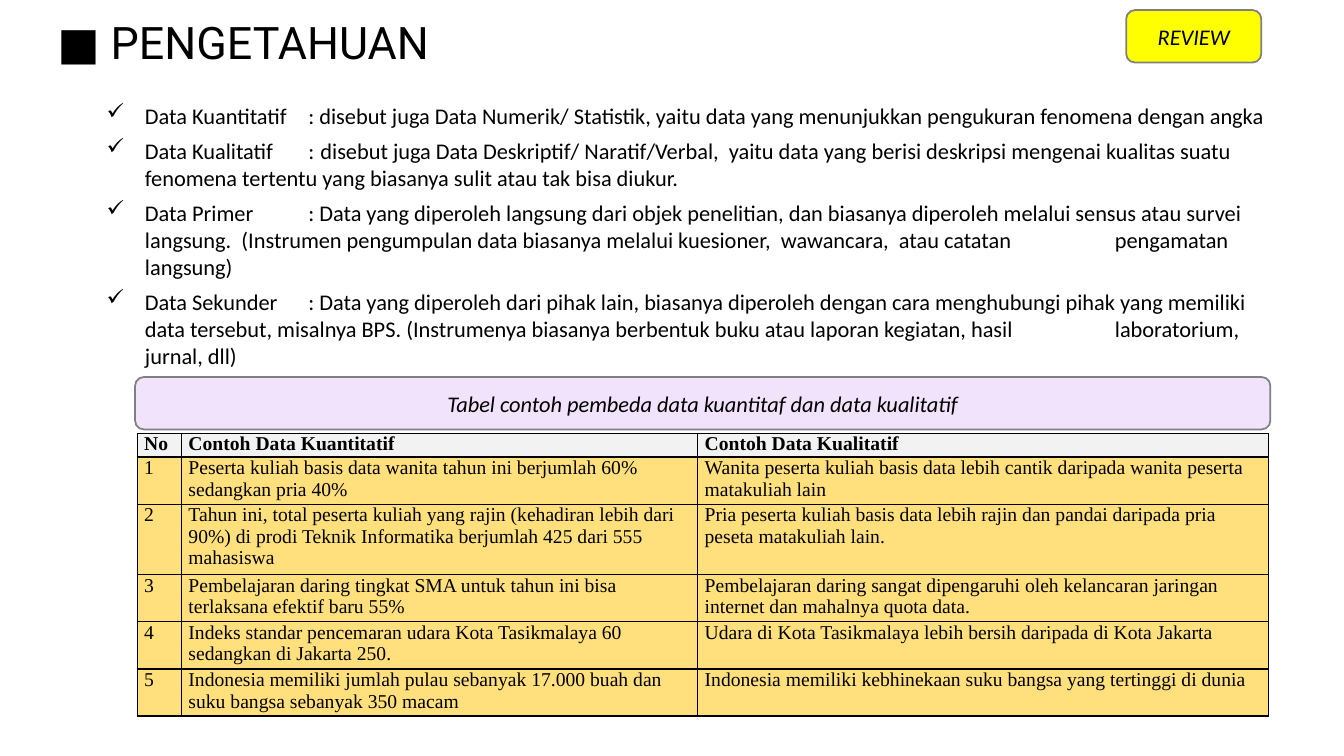
from dataclasses import dataclass

import pptx
import pptx.dml.color
import pptx.enum.shapes
import pptx.enum.text
import pptx.oxml
import pptx.oxml.ns
import pptx.util
from pptx.util import Inches

RGBColor = pptx.dml.color.RGBColor
ALIGN = pptx.enum.text.PP_ALIGN
ANCHOR = pptx.enum.text.MSO_ANCHOR

BLACK = RGBColor(0x00, 0x00, 0x00)
GRAY = RGBColor(0x80, 0x80, 0x80)
YELLOW = RGBColor(0xFF, 0xFF, 0x00)
LILAC = RGBColor(0xF2, 0xE3, 0xFC)
HEADER_FILL = RGBColor(0xF2, 0xF2, 0xF2)
BODY_FILL = RGBColor(0xFF, 0xE0, 0x7D)

NAMESPACE = pptx.oxml.ns.nsdecls("a")
TAB_STOPS = (2, 2.12, 10)
COLUMN_WIDTHS = (0.44, 5.12, 5.66)
LINE_HEIGHT = 0.23


@dataclass
class Banner:
    text: str
    left: float
    top: float
    width: float
    fill: RGBColor


@dataclass
class Example:
    quantitative: str
    qualitative: str
    lines: int = 2


BANNERS = [
    Banner("REVIEW", 11.17, 0.1, 1.34, YELLOW),
    Banner("Tabel contoh pembeda data kuantitaf dan data kualitatif", 1.34, 3.74, 11.26, LILAC),
]

DEFINITIONS = [
    "Data Kuantitatif\t: disebut juga Data Numerik/ Statistik, yaitu data yang menunjukkan "
    "pengukuran fenomena dengan angka",
    "Data Kualitatif\t: \tdisebut juga Data Deskriptif/ Naratif/Verbal,  yaitu data yang berisi "
    "deskripsi mengenai kualitas suatu fenomena tertentu yang biasanya sulit atau tak bisa diukur.",
    "Data Primer\t: Data yang diperoleh langsung dari objek penelitian, dan biasanya diperoleh "
    "melalui sensus atau survei langsung.  (Instrumen pengumpulan data biasanya melalui "
    "kuesioner,  wawancara,  atau catatan \tpengamatan langsung)",
    "Data Sekunder\t: Data yang diperoleh dari pihak lain, biasanya diperoleh dengan cara "
    "menghubungi pihak yang memiliki data tersebut, misalnya BPS. (Instrumenya biasanya "
    "berbentuk buku atau laporan kegiatan, hasil \tlaboratorium, jurnal, dll)",
]

HEADERS = ("No", "Contoh Data Kuantitatif", "Contoh Data Kualitatif")
EXAMPLES = [
    Example("Peserta kuliah basis data wanita tahun ini berjumlah 60% sedangkan pria 40%",
            "Wanita peserta kuliah basis data lebih cantik daripada wanita peserta matakuliah lain"),
    Example("Tahun ini, total peserta kuliah yang rajin (kehadiran lebih dari 90%) di prodi "
            "Teknik Informatika berjumlah 425 dari 555 mahasiswa",
            "Pria peserta kuliah basis data lebih rajin dan pandai daripada pria peseta "
            "matakuliah lain.", lines=3),
    Example("Pembelajaran daring tingkat SMA untuk tahun ini bisa terlaksana efektif baru 55%",
            "Pembelajaran daring sangat dipengaruhi oleh kelancaran jaringan internet dan "
            "mahalnya quota data."),
    Example("Indeks standar pencemaran udara Kota Tasikmalaya 60 sedangkan di Jakarta 250.",
            "Udara di Kota Tasikmalaya lebih bersih daripada di Kota Jakarta"),
    Example("Indonesia memiliki jumlah pulau sebanyak 17.000 buah dan suku bangsa sebanyak 350 macam",
            "Indonesia memiliki kebhinekaan suku bangsa yang tertinggi di dunia"),
]


def write_text(paragraph, text: str, *, size: int = 16, font: str = "Calibri",
               bold: bool = False, italic: bool = False, align=ALIGN.LEFT) -> None:
    paragraph.alignment = align
    run = paragraph.add_run()
    run.text = text
    run.font.size = pptx.util.Pt(size)
    run.font.name = font
    run.font.bold = bold
    run.font.italic = italic
    run.font.color.rgb = BLACK


def add_title(slide) -> None:
    box = slide.shapes.add_textbox(Inches(0.47), Inches(0.15), Inches(12.3), Inches(0.54))
    frame = box.text_frame
    frame.word_wrap = True
    frame.vertical_anchor = ANCHOR.BOTTOM
    frame.margin_bottom = 0
    frame.paragraphs[0].line_spacing = 0.9
    write_text(frame.paragraphs[0], "■ PENGETAHUAN", size=32, font="Roboto")


def add_banner(slide, banner: Banner) -> None:
    shape = slide.shapes.add_shape(
        pptx.enum.shapes.MSO_SHAPE.ROUNDED_RECTANGLE,
        Inches(banner.left), Inches(banner.top), Inches(banner.width), Inches(0.52))
    shape.shadow.inherit = False
    shape.fill.solid()
    shape.fill.fore_color.rgb = banner.fill
    shape.line.color.rgb = GRAY
    shape.line.width = pptx.util.Pt(1.25)
    shape.text_frame.word_wrap = True
    shape.text_frame.vertical_anchor = ANCHOR.MIDDLE
    write_text(shape.text_frame.paragraphs[0], banner.text, italic=True, align=ALIGN.CENTER)


def add_check_bullet(paragraph) -> None:
    properties = paragraph._p.get_or_add_pPr()
    properties.set("marL", str(Inches(0.38)))
    properties.set("indent", str(Inches(-0.38)))
    stops = "".join(f'<a:tab pos="{Inches(stop)}" algn="l"/>' for stop in TAB_STOPS)
    for xml in (f'<a:buChar {NAMESPACE} char="✓"/>', f"<a:tabLst {NAMESPACE}>{stops}</a:tabLst>"):
        properties.append(pptx.oxml.parse_xml(xml))


def add_definitions(slide) -> None:
    box = slide.shapes.add_textbox(Inches(0.96), Inches(0.96), Inches(11.76), Inches(2.78))
    frame = box.text_frame
    frame.word_wrap = True
    frame.auto_size = pptx.enum.text.MSO_AUTO_SIZE.SHAPE_TO_FIT_TEXT
    for index, definition in enumerate(DEFINITIONS):
        paragraph = frame.add_paragraph() if index else frame.paragraphs[0]
        paragraph.space_before = paragraph.space_after = pptx.util.Pt(3)
        add_check_bullet(paragraph)
        write_text(paragraph, definition)


def format_cell(cell, fill: RGBColor) -> None:
    cell.margin_left = cell.margin_right = Inches(0.07)
    cell.margin_top = cell.margin_bottom = 0
    properties = cell._tc.get_or_add_tcPr()
    for side in ("lnL", "lnR", "lnT", "lnB"):
        properties.append(pptx.oxml.parse_xml(
            f'<a:{side} {NAMESPACE} w="{pptx.util.Pt(1)}"><a:solidFill>'
            f'<a:srgbClr val="{BLACK}"/></a:solidFill></a:{side}>'))
    cell.fill.solid()
    cell.fill.fore_color.rgb = fill


def add_examples(slide) -> None:
    rows = [HEADERS] + [(str(number), example.quantitative, example.qualitative)
                        for number, example in enumerate(EXAMPLES, start=1)]
    line_counts = [1] + [example.lines for example in EXAMPLES]
    table = slide.shapes.add_table(
        len(rows), len(HEADERS), Inches(1.36), Inches(4.3),
        Inches(sum(COLUMN_WIDTHS)), Inches(LINE_HEIGHT * sum(line_counts))).table
    for column, width in zip(table.columns, COLUMN_WIDTHS):
        column.width = Inches(width)
    for row_index, (texts, lines) in enumerate(zip(rows, line_counts)):
        is_header = row_index == 0
        table.rows[row_index].height = Inches(LINE_HEIGHT * lines)
        for column_index, text in enumerate(texts):
            cell = table.cell(row_index, column_index)
            format_cell(cell, HEADER_FILL if is_header else BODY_FILL)
            write_text(cell.text_frame.paragraphs[0], text, size=14, font="Times New Roman",
                       bold=is_header, align=ALIGN.JUSTIFY if is_header else ALIGN.LEFT)


def main() -> None:
    presentation = pptx.Presentation()
    presentation.slide_width = Inches(13.33)
    presentation.slide_height = Inches(7.5)
    slide = presentation.slides.add_slide(presentation.slide_layouts[6])

    # Heading and definitions
    add_title(slide)
    add_definitions(slide)

    # Example table and the two banners
    add_examples(slide)
    for banner in BANNERS:
        add_banner(slide, banner)

    presentation.save("out.pptx")


if __name__ == "__main__":
    main()
